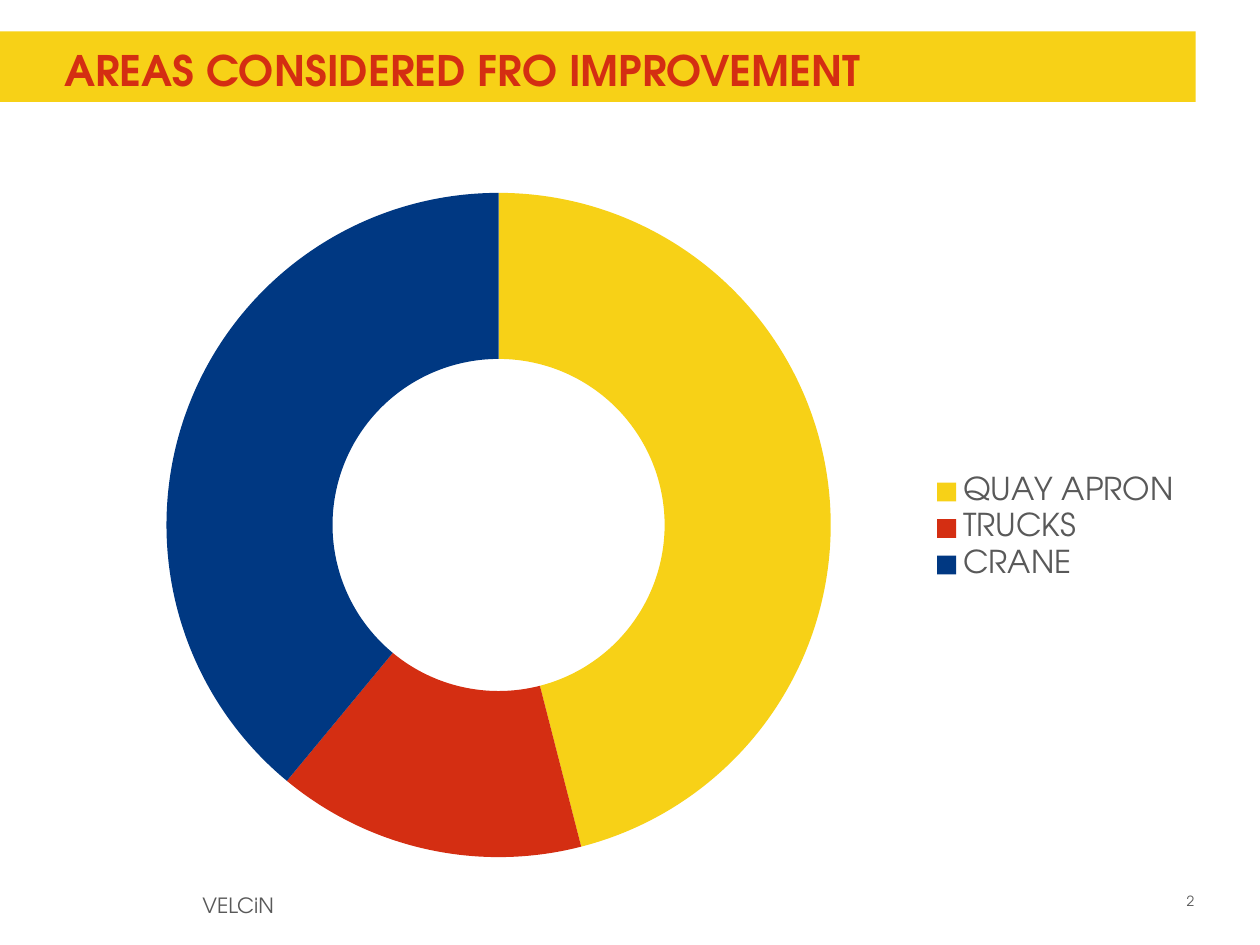
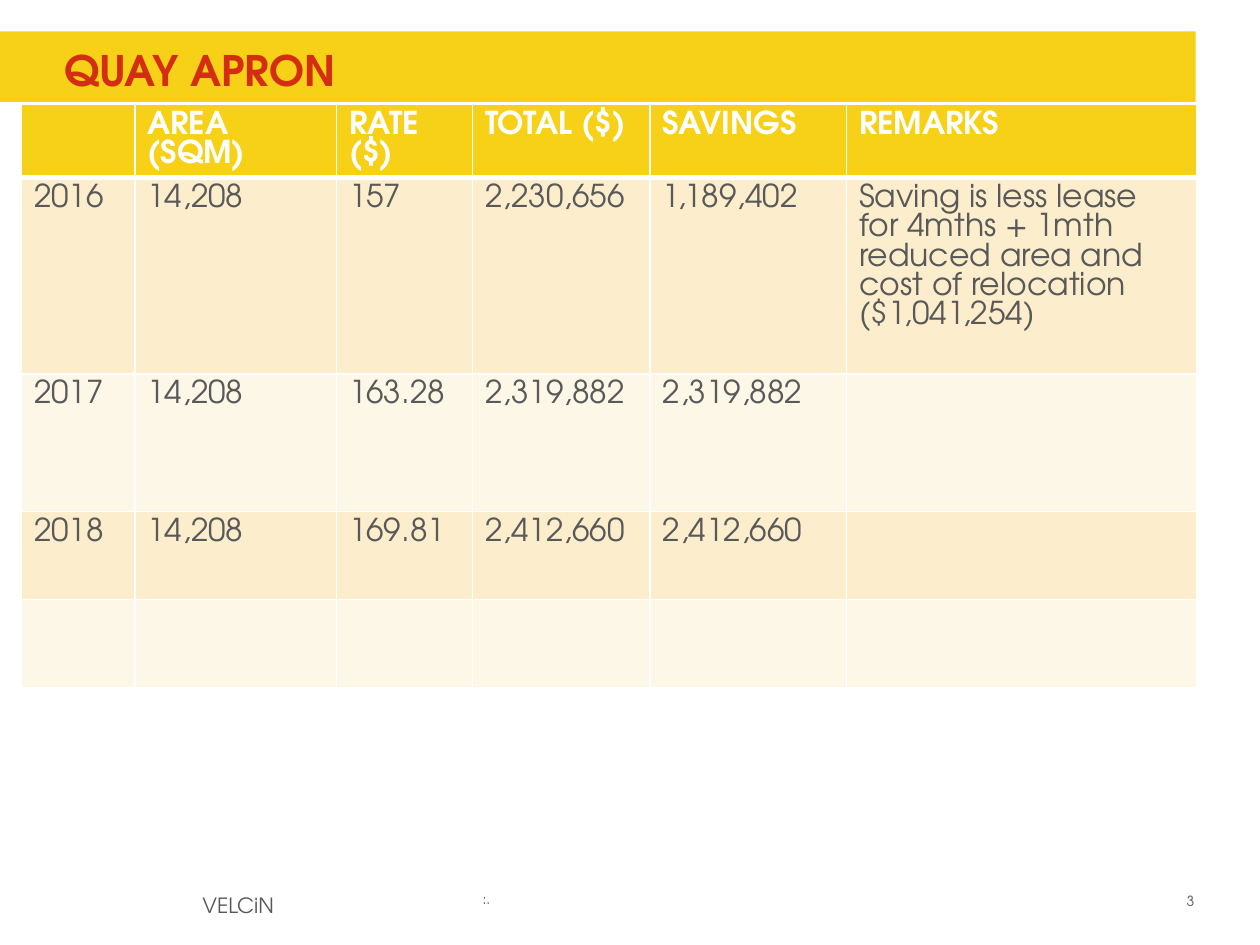
from lxml import etree
from pptx import Presentation
from pptx import util as u
from pptx.chart import data as chart_data
from pptx.dml import color
from pptx.enum import chart as charts, shapes, text
from pptx.oxml import ns, parse_xml

FONT = "TeX Gyre Adventor"
COLOURS = {
    "yellow": "F7D117",
    "red": "D42E12",
    "blue": "003882",
    "grey": "595959",
    "white": "FFFFFF",
    "band_dark": "FCEECC",
    "band_light": "FDF7E8",
}
TITLE_FORMAT = {"size": u.Pt(24), "bold": True}
FOOTER_FORMAT = {"size": u.Pt(12), "bold": False}
SMALL_FORMAT = {"size": u.Pt(8), "bold": False}
HEADER_FORMAT = {"size": u.Pt(18), "bold": True}
CELL_FORMAT = {"size": u.Pt(18), "bold": False}
FRAME_FORMAT = {
    "margin_left": 0,
    "margin_right": 0,
    "margin_top": 0,
    "margin_bottom": u.Inches(0.05),
}
TITLE_FRAME_FORMAT = dict(
    FRAME_FORMAT,
    margin_bottom=0,
    word_wrap=True,
    auto_size=text.MSO_AUTO_SIZE.NONE,
    vertical_anchor=text.MSO_ANCHOR.MIDDLE,
)

AREAS = {"QUAY APRON": (46, "yellow"), "TRUCKS": (15, "red"), "CRANE": (39, "blue")}
DOUGHNUT_LAYOUT = {"x": 0.09, "y": 0.02, "w": 0.59, "h": 0.95}

COLUMN_WIDTHS = [0.9, 1.6, 1.08, 1.41, 1.56, 2.78]
ROW_HEIGHTS = [0.58, 1.56, 1.09, 0.7, 0.7]
SAVINGS_ROWS = [
    ["", "AREA (SQM)", "RATE ($)", "TOTAL ($)", "SAVINGS", "REMARKS"],
    ["2016", "14,208", "157", "2,230,656", "1,189,402",
     "Saving is less lease for 4mths + 1mth reduced area and cost of "
     "relocation ($1,041,254)"],
    ["2017", "14,208", "163.28", "2,319,882", "2,319,882", ""],
    ["2018", "14,208", "169.81", "2,412,660", "2,412,660", ""],
    [""] * 6,
]


def rgb(name):
    return color.RGBColor.from_string(COLOURS[name])


def apply(target, values):
    for name, value in values.items():
        setattr(target, name, value)


def inches(*lengths):
    return [u.Inches(length) for length in lengths]


def fill_shape(target, name):
    target.fill.solid()
    target.fill.fore_color.rgb = rgb(name)


def style_font(font, values, colour):
    apply(font, dict(values, name=FONT))
    font.color.rgb = rgb(colour)


def write(paragraph, words, values, colour):
    run = paragraph.add_run()
    run.text = words
    style_font(run.font, values, colour)


def add_label(slide, box, words, values, alignment, wrap=False):
    shape = slide.shapes.add_textbox(*inches(*box))
    apply(shape.text_frame, dict(FRAME_FORMAT, word_wrap=wrap))
    paragraph = shape.text_frame.paragraphs[0]
    paragraph.alignment = alignment
    write(paragraph, words, values, "grey")


def add_slide(presentation, title, number):
    slide = presentation.slides.add_slide(presentation.slide_layouts[5])
    band = slide.shapes.add_shape(
        shapes.MSO_SHAPE.RECTANGLE, *inches(0, 0.25, 9.49, 0.56))
    band.shadow.inherit = False
    band.line.fill.background()
    fill_shape(band, "yellow")

    heading = slide.shapes.title
    heading._element.addprevious(band._element)
    apply(heading, dict(zip(("left", "top", "width", "height"),
                            inches(0.51, 0.32, 8.9, 0.46))))
    apply(heading.text_frame, TITLE_FRAME_FORMAT)
    paragraph = heading.text_frame.paragraphs[0]
    paragraph.alignment = text.PP_ALIGN.LEFT
    write(paragraph, title, TITLE_FORMAT, "red")

    add_label(slide, (0.51, 7.08, 2.76, 0.35), "VELCiN", FOOTER_FORMAT,
              text.PP_ALIGN.CENTER)
    add_label(slide, (9.19, 7.08, 0.29, 0.19), str(number), SMALL_FORMAT,
              text.PP_ALIGN.RIGHT)
    return slide


def place_plot(chart, layout):
    plot_area = chart._chartSpace.chart.plotArea
    for old in plot_area.findall(ns.qn("c:layout")):
        plot_area.remove(old)
    modes = '<c:layoutTarget val="inner"/><c:xMode val="edge"/><c:yMode val="edge"/>'
    values = "".join(f'<c:{key} val="{value}"/>' for key, value in layout.items())
    plot_area.insert(0, parse_xml(
        f'<c:layout {ns.nsdecls("c")}><c:manualLayout>{modes}{values}'
        "</c:manualLayout></c:layout>"))


def add_doughnut(slide, box, areas):
    data = chart_data.CategoryChartData()
    data.categories = list(areas)
    data.add_series("Series 1", [value for value, _ in areas.values()])
    chart = slide.shapes.add_chart(
        charts.XL_CHART_TYPE.DOUGHNUT, *inches(*box), data).chart
    apply(chart, {"has_title": False, "has_legend": True})
    apply(chart.legend, {"position": charts.XL_LEGEND_POSITION.RIGHT,
                         "include_in_layout": False})
    style_font(chart.font, CELL_FORMAT, "grey")
    plot = chart.plots[0]
    plot.vary_by_categories = True
    for index, (_, colour) in enumerate(areas.values()):
        point = plot.series[0].points[index]
        fill_shape(point.format, colour)
        point.format.line.fill.background()
    place_plot(chart, DOUGHNUT_LAYOUT)


def set_borders(cell, widths):
    properties = cell._tc.get_or_add_tcPr()
    for index, (side, width) in enumerate(widths.items()):
        line = etree.Element(ns.qn(f"a:ln{side}"), w=str(u.Pt(width)))
        solid = etree.SubElement(line, ns.qn("a:solidFill"))
        etree.SubElement(solid, ns.qn("a:srgbClr"), val=COLOURS["white"])
        properties.insert(index, line)


def add_cell(cell, words, row):
    is_header = row == 0
    band = "band_dark" if row % 2 else "band_light"
    fill_shape(cell, "yellow" if is_header else band)
    set_borders(cell, {"L": 1, "R": 1, "T": 3 if row == 1 else 1,
                       "B": 3 if is_header else 1})
    paragraph = cell.text_frame.paragraphs[0]
    paragraph.line_spacing = u.Pt(16.8)
    if words:
        write(paragraph, words, HEADER_FORMAT if is_header else CELL_FORMAT,
              "white" if is_header else "grey")


def add_savings_table(slide, left, top):
    table = slide.shapes.add_table(
        len(ROW_HEIGHTS), len(COLUMN_WIDTHS),
        *inches(left, top, sum(COLUMN_WIDTHS), sum(ROW_HEIGHTS))).table
    for column, width in zip(table.columns, COLUMN_WIDTHS):
        column.width = u.Inches(width)
    for row, height in zip(table.rows, ROW_HEIGHTS):
        row.height = u.Inches(height)
    for row, values in enumerate(SAVINGS_ROWS):
        for column, words in enumerate(values):
            add_cell(table.cell(row, column), words, row)


def main():
    presentation = Presentation()
    apply(presentation, {"slide_width": u.Inches(10), "slide_height": u.Inches(7.5)})

    slide = add_slide(presentation, "AREAS CONSIDERED FRO IMPROVEMENT", 2)
    add_doughnut(slide, (0.5, 1.42, 8.98, 5.55), AREAS)

    slide = add_slide(presentation, "QUAY APRON", 3)
    add_savings_table(slide, 0.17, 0.83)
    add_label(slide, (3.83, 7.07, 2.76, 0.35), ":.", SMALL_FORMAT,
              text.PP_ALIGN.LEFT, wrap=True)

    presentation.save("out.pptx")


main()
